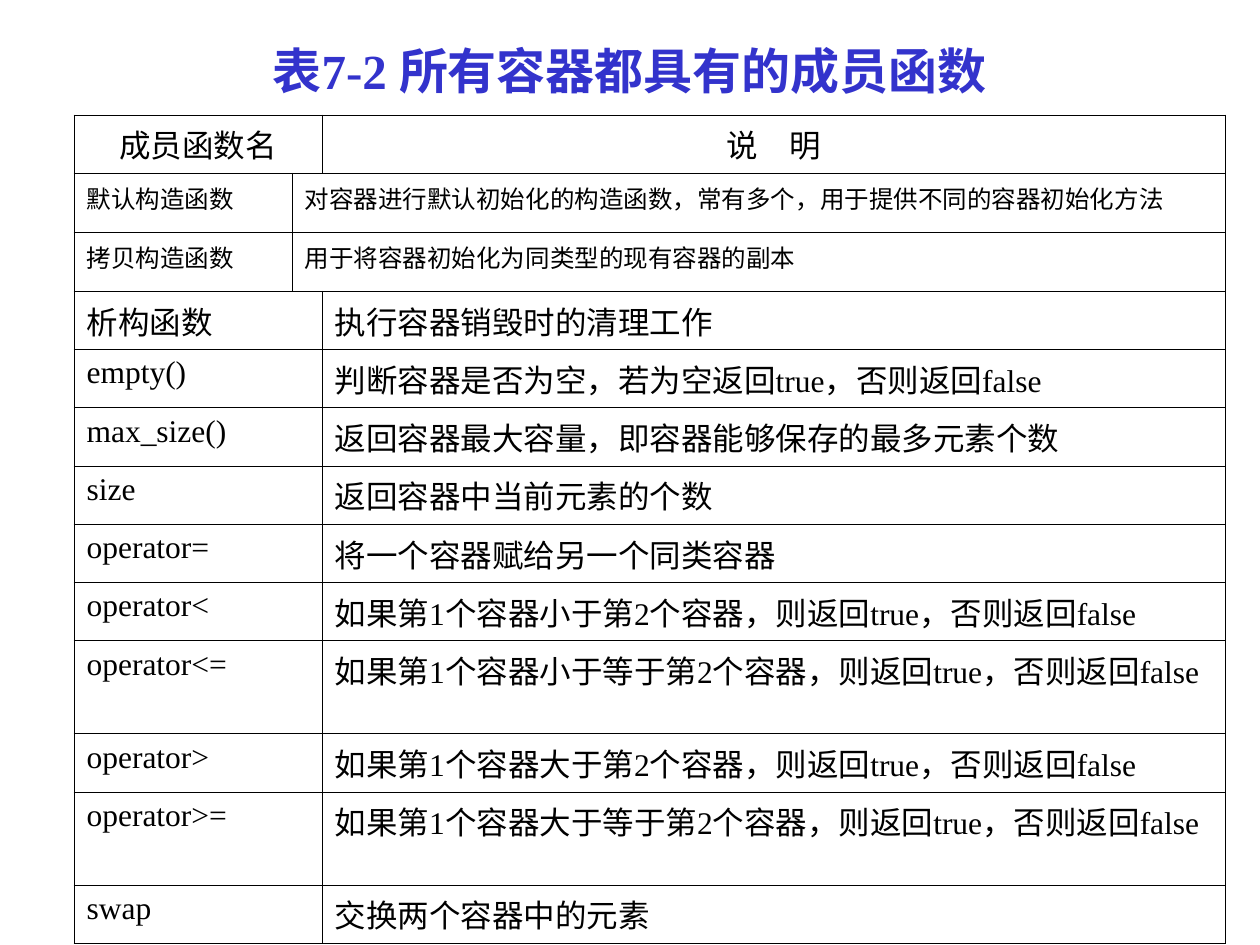
from dataclasses import dataclass

import pptx
import pptx.dml.color
import pptx.enum.text
import pptx.oxml
import pptx.oxml.ns
import pptx.util

PX_PER_INCH = 126


@dataclass(frozen=True)
class Theme:
    font: str = "Times New Roman"
    title_color: str = "3333CC"
    ink: str = "000000"
    title_size: int = 28
    body_size: int = 18
    small_size: int = 14
    rule_width: float = 0.45


@dataclass(frozen=True)
class Member:
    name: str
    description: str
    height: int = 50
    is_constructor: bool = False


THEME = Theme()
CENTER = pptx.enum.text.PP_ALIGN.CENTER
LEFT = pptx.enum.text.PP_ALIGN.LEFT
MIDDLE = pptx.enum.text.MSO_ANCHOR.MIDDLE
TOP = pptx.enum.text.MSO_ANCHOR.TOP
COLUMN_WIDTHS = (218, 30, 903)
HANGING_INDENT = 48
CONSTRUCTOR_HEIGHT = 59
TWO_LINE_HEIGHT = 88

HEADING = Member("成员函数名", "说　明")
MEMBERS = (
    Member("默认构造函数", "对容器进行默认初始化的构造函数，常有多个，用于提供不同的容器初始化方法",
           CONSTRUCTOR_HEIGHT, True),
    Member("拷贝构造函数", "用于将容器初始化为同类型的现有容器的副本",
           CONSTRUCTOR_HEIGHT, True),
    Member("析构函数", "执行容器销毁时的清理工作"),
    Member("empty()", "判断容器是否为空，若为空返回true，否则返回false"),
    Member("max_size()", "返回容器最大容量，即容器能够保存的最多元素个数"),
    Member("size", "返回容器中当前元素的个数"),
    Member("operator=", "将一个容器赋给另一个同类容器"),
    Member("operator<", "如果第1个容器小于第2个容器，则返回true，否则返回false"),
    Member("operator<=", "如果第1个容器小于等于第2个容器，则返回true，否则返回false",
           TWO_LINE_HEIGHT),
    Member("operator>", "如果第1个容器大于第2个容器，则返回true，否则返回false"),
    Member("operator>=", "如果第1个容器大于等于第2个容器，则返回true，否则返回false",
           TWO_LINE_HEIGHT),
    Member("swap", "交换两个容器中的元素"),
)


def px(length: int) -> pptx.util.Emu:
    return pptx.util.Emu(round(length * pptx.util.Inches(1) / PX_PER_INCH))


def write(frame, text: str, *, size: int, color: str = THEME.ink, bold: bool = False,
          align=LEFT, hanging: int = 0) -> None:
    paragraph = frame.paragraphs[0]
    paragraph.alignment = align
    if hanging:
        properties = paragraph._p.get_or_add_pPr()
        properties.set("marL", str(px(hanging)))
        properties.set("indent", str(-px(hanging)))
    run = paragraph.add_run()
    run.text = text
    run.font.name = THEME.font
    run.font.size = pptx.util.Pt(size)
    run.font.bold = bold
    run.font.color.rgb = pptx.dml.color.RGBColor.from_string(color)


def rule_cell(cell) -> None:
    properties = cell._tc.get_or_add_tcPr()
    for side in ("lnL", "lnR", "lnT", "lnB"):
        properties.append(pptx.oxml.parse_xml(
            f'<a:{side} {pptx.oxml.ns.nsdecls("a")} w="{pptx.util.Pt(THEME.rule_width)}">'
            f'<a:solidFill><a:srgbClr val="{THEME.ink}"/></a:solidFill></a:{side}>'))
    cell.fill.background()


def fill_row(table, index: int, member: Member) -> None:
    table.rows[index].height = px(member.height)
    for column in range(len(COLUMN_WIDTHS)):
        rule_cell(table.cell(index, column))
    split = 1 if member.is_constructor else 2
    if member.is_constructor:
        table.cell(index, 1).merge(table.cell(index, 2))
    else:
        table.cell(index, 0).merge(table.cell(index, 1))
    is_heading = member is HEADING
    for column, text in ((0, member.name), (split, member.description)):
        cell = table.cell(index, column)
        cell.vertical_anchor = MIDDLE if is_heading else TOP
        write(cell.text_frame, text,
              size=THEME.small_size if member.is_constructor else THEME.body_size,
              align=CENTER if is_heading else LEFT, hanging=HANGING_INDENT)


def add_title(slide, text: str) -> None:
    title = slide.shapes.title
    title.left, title.top, title.width, title.height = map(px, (94, 35, 1071, 69))
    title.text_frame.auto_size = pptx.enum.text.MSO_AUTO_SIZE.NONE
    title.text_frame.vertical_anchor = MIDDLE
    write(title.text_frame, text, size=THEME.title_size, color=THEME.title_color,
          bold=True, align=CENTER)


def add_member_table(slide, rows: tuple[Member, ...]) -> None:
    table = slide.shapes.add_table(
        len(rows), len(COLUMN_WIDTHS), px(74), px(115), px(sum(COLUMN_WIDTHS)),
        px(sum(member.height for member in rows))).table
    table.first_row = False
    table.horz_banding = False
    for column, width in zip(table.columns, COLUMN_WIDTHS):
        column.width = px(width)
    for index, member in enumerate(rows):
        fill_row(table, index, member)


def main() -> None:
    deck = pptx.Presentation()
    deck.slide_width, deck.slide_height = px(1260), px(945)
    slide = deck.slides.add_slide(deck.slide_layouts[5])
    add_title(slide, "表7-2 所有容器都具有的成员函数")
    add_member_table(slide, (HEADING, *MEMBERS))
    deck.save("out.pptx")


if __name__ == "__main__":
    main()
